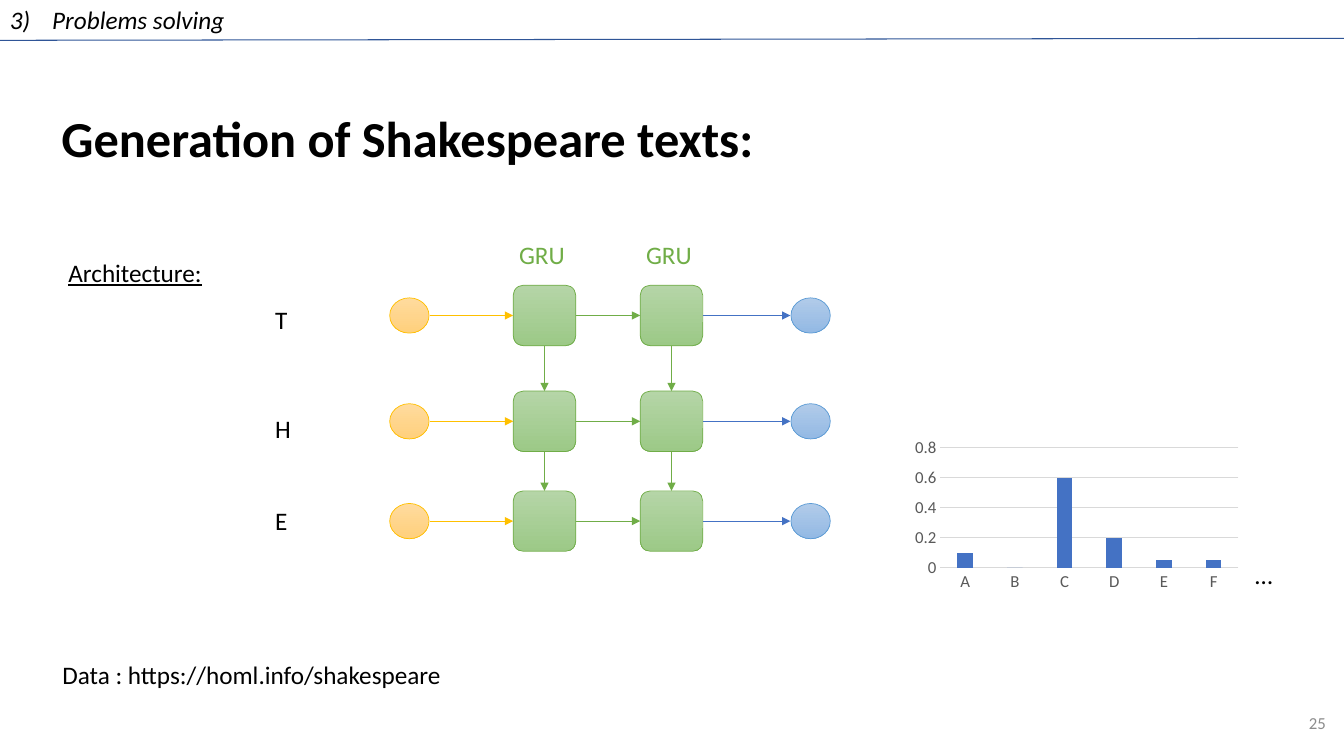
"""Build the slide on generating Shakespeare texts with a GRU network."""
from dataclasses import dataclass

from lxml import etree
from pptx import Presentation
from pptx import util as u
from pptx.chart.data import CategoryChartData
from pptx.dml.color import RGBColor
from pptx.enum import chart as ch
from pptx.enum import shapes, text
from pptx.oxml.ns import qn

PX = 9144


@dataclass(frozen=True)
class Theme:
    font: str = "Calibri"
    title: int = 36
    body: int = 18
    small: int = 12
    ink: str = "000000"
    muted: str = "8C8C8C"
    axis: str = "595959"
    grid: str = "D9D9D9"
    rule: str = "2F5597"
    green: str = "70AD47"
    amber: str = "FFC000"
    blue: str = "4472C4"
    sky: str = "5B9BD5"
    green_fill: tuple = ("B5D5A7", "9CC987")
    amber_fill: tuple = ("FFDB9E", "FFD07C")
    sky_fill: tuple = ("B1CBE9", "93B9E4")


T = Theme()


def px(*lengths):
    return [u.Emu(round(n * PX)) for n in lengths]


def rgb(code):
    return RGBColor.from_string(code)


def place(sp, box):
    sp.left, sp.top, sp.width, sp.height = px(*box)


def write(sp, *lines, size=T.body, color=T.ink, bold=False, italic=False,
          underline=False, align=text.PP_ALIGN.LEFT, anchor=text.MSO_ANCHOR.TOP,
          wrap=True, spacing=None, gaps=(), tab=None):
    tf = sp.text_frame
    tf.word_wrap, tf.vertical_anchor = wrap, anchor
    tf.auto_size = text.MSO_AUTO_SIZE.NONE
    for i, line in enumerate(lines):
        p = tf.add_paragraph() if i else tf.paragraphs[0]
        p.alignment = align
        if spacing:
            p.line_spacing = spacing
        if i and gaps:
            p.space_before = u.Pt(gaps[i - 1])
        if tab:
            tabs = etree.SubElement(p._p.get_or_add_pPr(), qn("a:tabLst"))
            etree.SubElement(tabs, qn("a:tab"), pos=str(px(tab)[0]), algn="l")
        r = p.add_run()
        r.text = line
        f = r.font
        f.name, f.size, f.color.rgb = T.font, u.Pt(size), rgb(color)
        f.bold, f.italic, f.underline = bold, italic, underline


def label(s, box, *lines, **fmt):
    write(s.shapes.add_textbox(*px(*box)), *lines, **fmt)


def node(s, kind, cx, cy, w, h, fill, line):
    sp = s.shapes.add_shape(kind, *px(cx - w / 2, cy - h / 2, w, h))
    sp.shadow.inherit = False
    sp.fill.gradient()
    sp.fill.gradient_angle = 270
    for stop, code in zip(sp.fill.gradient_stops, fill):
        stop.color.rgb = rgb(code)
    sp.line.color.rgb, sp.line.width = rgb(line), u.Pt(0.5)
    return sp


def connect(s, start, end, color, width=0.5, begin=None, finish=None, arrow=True):
    c = s.shapes.add_connector(shapes.MSO_CONNECTOR.STRAIGHT, *px(*start, *end))
    if begin:
        c.begin_connect(*begin)
    if finish:
        c.end_connect(*finish)
    c.line.color.rgb, c.line.width = rgb(color), u.Pt(width)
    if arrow:
        etree.SubElement(c.line._get_or_add_ln(), qn("a:tailEnd"), type="triangle")
    etree.SubElement(c._element.spPr, qn("a:effectLst"))


def header(s, x, y, w, h):
    """Place the section name above a thin rule."""
    label(s, (x, y, w, h), "3)\tProblems solving", italic=True, spacing=0.9,
          anchor=text.MSO_ANCHOR.MIDDLE, tab=42)
    connect(s, (x + w, y + 38), (x, y + 40), T.rule, 0.75, arrow=False)


def title(s, x, y, w, h):
    """Fill the title placeholder."""
    place(s.shapes.title, (x, y, w, h))
    write(s.shapes.title, "Generation of Shakespeare texts:", size=T.title, bold=True,
          spacing=0.9, anchor=text.MSO_ANCHOR.BOTTOM)


def network(s, x, y):
    """Draw the unrolled two-layer network with its letters from its top left corner."""
    label(s, (x, y + 64, 36, 242), "T", "H", "E", wrap=False, gaps=(56, 44))
    oval, cell = shapes.MSO_SHAPE.OVAL, shapes.MSO_SHAPE.ROUNDED_RECTANGLE
    x_in, x_out, layers, radius = x + 143, x + 541, (x + 277, x + 403), 20
    for cx in layers:
        label(s, (cx - 35, y, 66, 40), "GRU", color=T.green, wrap=False)
    above = None
    for cy in (y + 80, y + 185, y + 284):
        node(s, oval, x_in, cy, 39, 35, T.amber_fill, T.amber)
        node(s, oval, x_out, cy, 39, 35, T.sky_fill, T.sky)
        row = [node(s, cell, cx, cy, 62, 60, T.green_fill, T.green) for cx in layers]
        first, last = row
        mid = (layers[0], cy)
        connect(s, (x_in + radius, cy), mid, T.amber, finish=(first, 1))
        connect(s, mid, mid, T.green, begin=(first, 3), finish=(last, 1))
        connect(s, mid, (x_out - radius, cy), T.blue, begin=(last, 3))
        for upper, lower in zip(above or [], row):
            connect(s, mid, mid, T.green, begin=(upper, 2), finish=(lower, 0))
        above = row


def probabilities(s, x, y, w, h):
    """Chart the probability of each next letter."""
    data = CategoryChartData()
    data.categories = list("ABCDEF")
    data.add_series("Series 1", (0.1, 0, 0.6, 0.2, 0.05, 0.05))
    chart = s.shapes.add_chart(ch.XL_CHART_TYPE.COLUMN_CLUSTERED,
                               *px(x, y, w, h), data).chart
    chart.has_legend = chart.has_title = False
    chart.font.name, chart.font.size = T.font, u.Pt(T.small)
    chart.font.color.rgb = rgb(T.axis)
    plot = chart.plots[0]
    plot.gap_width, plot.overlap, plot.vary_by_categories = 219, -27, False
    fill = plot.series[0].format.fill
    fill.solid()
    fill.fore_color.rgb = rgb(T.blue)
    cat, val = chart.category_axis, chart.value_axis
    for axis in (cat, val):
        axis.major_tick_mark = axis.minor_tick_mark = ch.XL_TICK_MARK.NONE
    val.minimum_scale, val.maximum_scale, val.major_unit = 0, 0.8, 0.2
    val.has_major_gridlines = True
    val.format.line.fill.background()
    for line in (cat.format.line, val.major_gridlines.format.line):
        line.color.rgb, line.width = rgb(T.grid), u.Pt(0.75)
    label(s, (x + w, y + 119, 38, 40), "…", wrap=False)


def main():
    prs = Presentation()
    prs.slide_width, prs.slide_height = px(1333, 750)
    s = prs.slides.add_slide(prs.slide_layouts[5])
    header(s, 0, 0, 1333, 43)
    title(s, 51, 103, 822, 69)
    label(s, (58, 250, 154, 40), "Architecture:", underline=True, wrap=False)
    network(s, 263, 233)
    probabilities(s, 901, 431, 334, 159)
    label(s, (52, 649, 412, 40), "Data : https://homl.info/shakespeare")
    label(s, (1068, 702, 257, 30), "25", size=T.small, color=T.muted,
          align=text.PP_ALIGN.RIGHT, anchor=text.MSO_ANCHOR.MIDDLE)
    prs.save("out.pptx")


if __name__ == "__main__":
    main()
